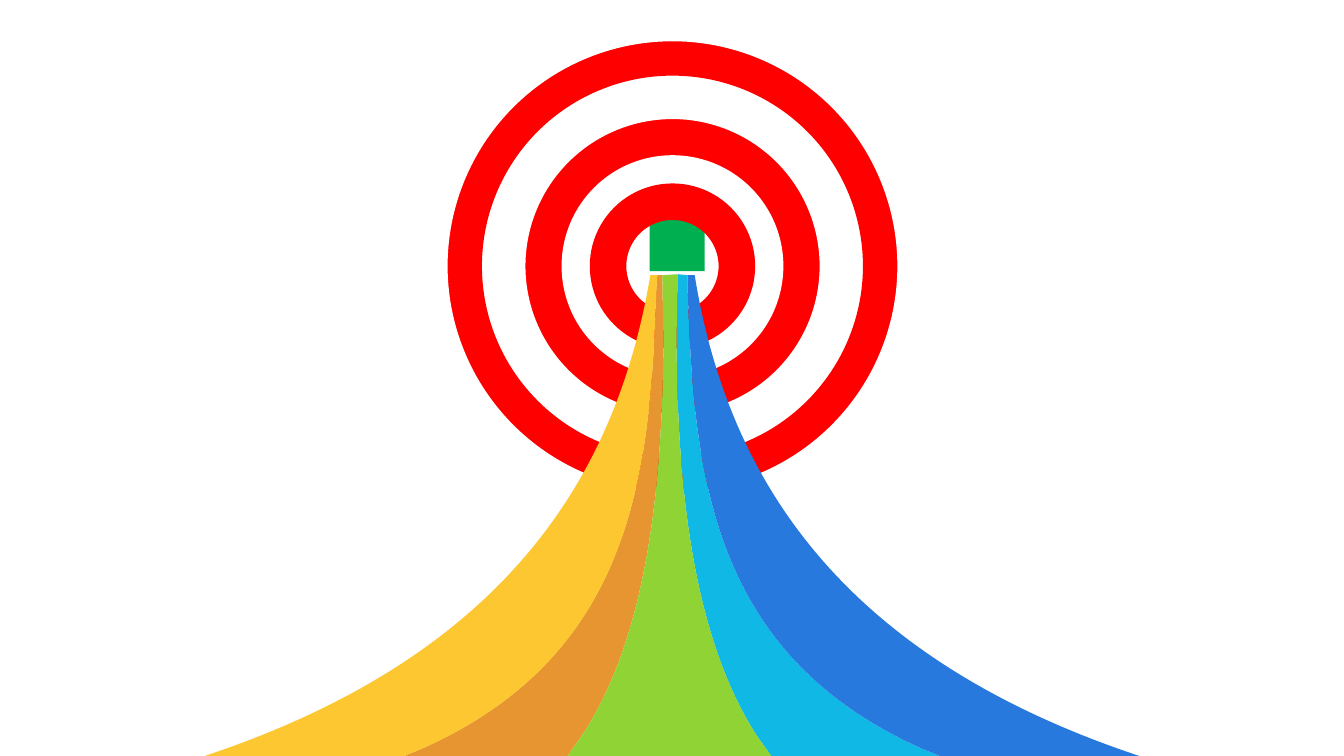
from pptx import Presentation, util as u
from pptx.dml.color import RGBColor
from pptx.enum import shapes
from pptx.oxml.ns import qn

COLORS = {"red": "FF0000", "white": "FFFFFF", "arrow": "00B050", "yellow": "FCC730",
          "orange": "E79531", "green": "8FD434", "cyan": "10B8E6", "blue": "2779DD"}

ARROW = (6.17, 0.59, 1.09, 2.1)
CENTER = (6.67, 2.64)
# diameter, ring thickness as a share of the diameter, colour; back to front
RINGS = [
    (3.03, 0.154, "red"),
    (2.2, 0.218, "white"),
    (1.64, 0.221, "red"),
    (3.89, 0.125, "white"),
    (4.7, 0.098, "red"),
    (5.48, 0.083, "white"),
    (5.48, 0.093, "white"),
]
# Stripe borders from left to right, each from top to bottom. The middle four
# points are a cubic curve; a point before and after it adds a straight end.
BORDERS = [
    [(6.45, 2.73), (6.12, 4.72), (5.01, 6.51), (2.03, 7.5)],
    [(6.52, 2.73), (6.51, 2.86), (6.45, 4.69), (6.29, 6.49), (4.18, 7.43), (4.01, 7.5)],
    [(6.57, 2.73), (6.58, 3.39), (6.57, 4.82), (6.42, 6.29), (5.79, 7.27), (5.63, 7.5)],
    [(6.72, 2.72), (6.71, 3.4), (6.72, 4.84), (6.87, 6.3), (7.5, 7.29), (7.65, 7.5)],
    [(6.82, 2.73), (6.82, 2.86), (6.88, 4.69), (7.04, 6.49), (9.15, 7.43), (9.32, 7.5)],
    [(6.89, 2.73), (7.21, 4.72), (8.32, 6.51), (11.3, 7.5)],
]
# Each stripe lies between border i and border i + 1; back to front
STRIPES = [(3, "cyan"), (1, "orange"), (2, "green"), (0, "yellow"), (4, "blue")]


def paint(sp, color):
    sp.shadow.inherit = False
    sp.fill.solid()
    sp.fill.fore_color.rgb = RGBColor.from_string(COLORS[color])
    sp.line.fill.background()


def merge_into_curve(lines):
    """Turn three straight segments into one cubic curve through their points."""
    curve = lines[0].makeelement(qn("a:cubicBezTo"))
    lines[0].addprevious(curve)
    for line in lines:
        curve.append(line[0])
        line.getparent().remove(line)


def add_stripe(s, left, right, color):
    outline = [(u.Inches(x), u.Inches(y)) for x, y in left + right[::-1]]
    builder = s.shapes.build_freeform(*outline[0])
    builder.add_line_segments(outline[1:], close=True)
    sp = builder.convert_to_shape()
    lines = list(sp._element.iter(qn("a:lnTo")))
    for offset, border in ((0, left), (len(left), right)):
        first = offset + (len(border) - 4) // 2
        merge_into_curve(lines[first:first + 3])
    paint(sp, color)


def main():
    prs = Presentation()
    prs.slide_width, prs.slide_height = u.Inches(13.33), u.Inches(7.5)
    s = prs.slides.add_slide(prs.slide_layouts[6])

    arrow = s.shapes.add_shape(shapes.MSO_SHAPE.UP_ARROW, *map(u.Inches, ARROW))
    paint(arrow, "arrow")

    target = s.shapes.add_group_shape()
    for size, thickness, color in RINGS:
        box = [c - size / 2 for c in CENTER] + [size, size]
        ring = target.shapes.add_shape(shapes.MSO_SHAPE.DONUT, *map(u.Inches, box))
        ring.adjustments[0] = thickness
        paint(ring, color)

    for i, color in STRIPES:
        add_stripe(s, BORDERS[i], BORDERS[i + 1], color)

    prs.save("out.pptx")


if __name__ == "__main__":
    main()
